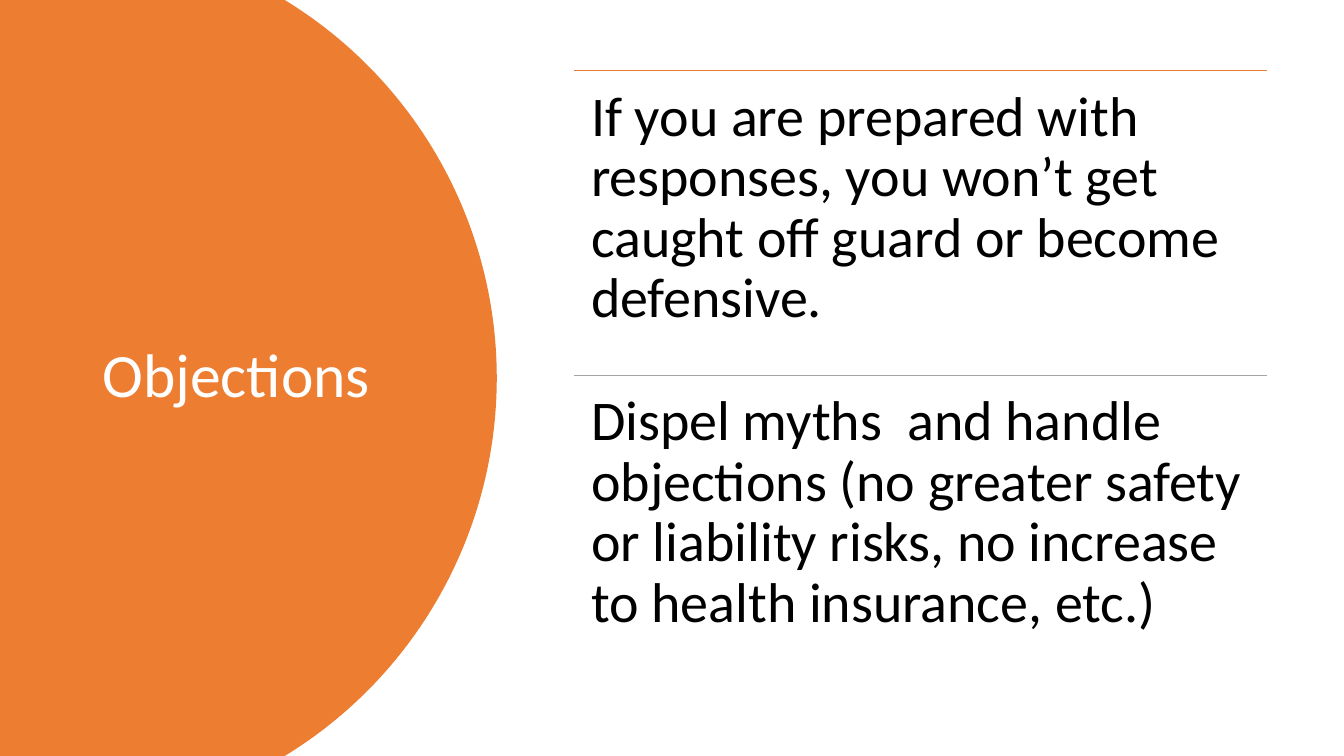
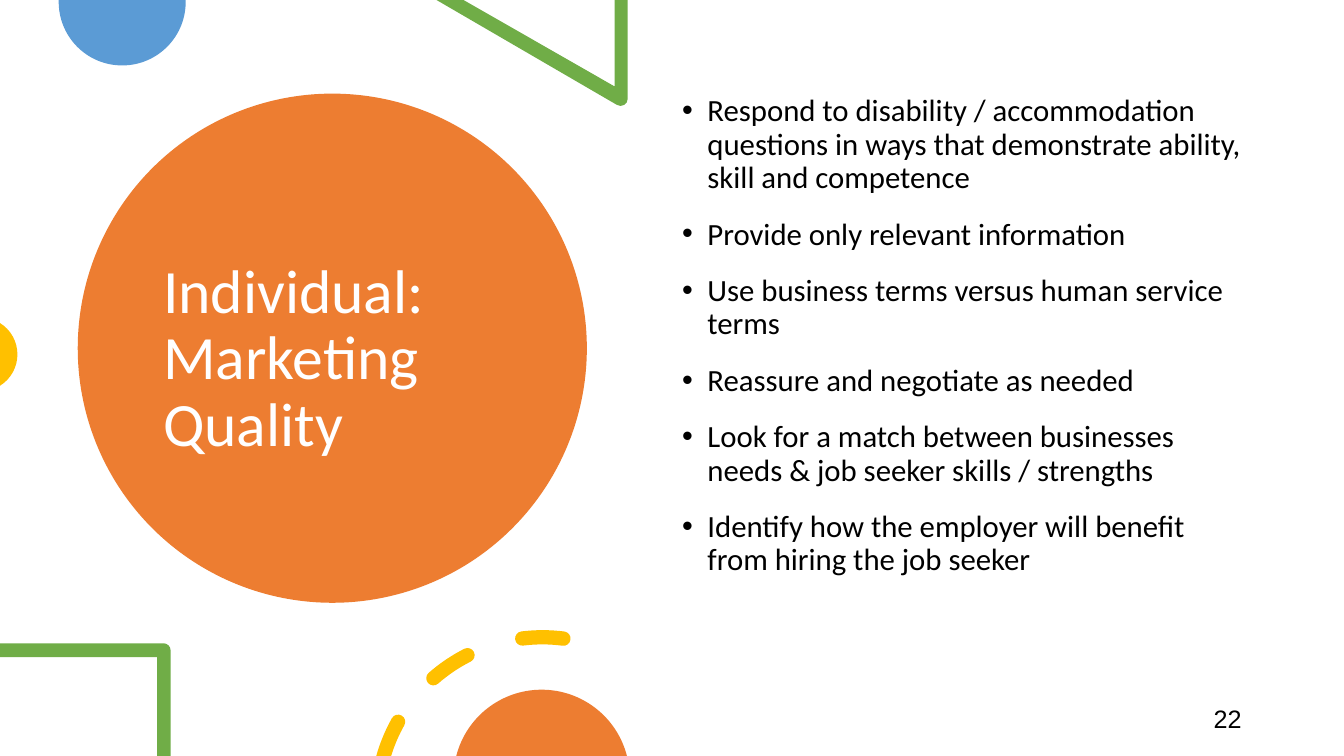
from dataclasses import dataclass
from math import ceil, cos, radians, sin, tan

from lxml.etree import SubElement
from pptx import Presentation
from pptx.dml.color import RGBColor
from pptx.enum.shapes import MSO_CONNECTOR as Connector, MSO_SHAPE as Shape
from pptx.enum.text import MSO_ANCHOR as Anchor, PP_ALIGN as Align
from pptx.oxml.ns import qn
from pptx.util import Cm, Pt


@dataclass(frozen=True)
class Theme:
    orange: str = "ED7D31"
    gray: str = "A5A5A5"
    blue: str = "5B9BD5"
    green: str = "70AD47"
    yellow: str = "FFC000"
    white: str = "FFFFFF"
    black: str = "000000"
    font: str = "Calibri"
    number_font: str = "Arial"
    title_size: int = 44
    statement_size: int = 40
    bullet_size: int = 22
    number_size: int = 18


theme = Theme()
WIDTH, HEIGHT = 33.87, 19.05
TITLE = dict(size=theme.title_size, color=theme.white, anchor=Anchor.MIDDLE)


def arc(x, y, radius, start, end):
    """Start point, then Bézier pieces of three points; degrees run clockwise."""
    count = max(1, ceil(abs(end - start) / 92))
    step = radians(end - start) / count
    reach = 4 / 3 * tan(step / 4)
    pieces = [[(x + radius * cos(radians(start)), y + radius * sin(radians(start)))]]
    for index in range(count):
        a = radians(start) + index * step
        b = a + step
        pieces.append([
            (x + radius * (cos(a) - reach * sin(a)), y + radius * (sin(a) + reach * cos(a))),
            (x + radius * (cos(b) + reach * sin(b)), y + radius * (sin(b) - reach * cos(b))),
            (x + radius * cos(b), y + radius * sin(b)),
        ])
    return pieces


def add_text(slide, text, box, size, color=theme.black, font=theme.font,
             anchor=Anchor.TOP, align=Align.LEFT, inset=None,
             bullet=False, before=0, after=0):
    """Add a text box; each line of the text becomes a paragraph."""
    frame = slide.shapes.add_textbox(*map(Cm, box)).text_frame
    frame.word_wrap = True
    frame.vertical_anchor = anchor
    if inset is not None:
        frame.margin_left = frame.margin_right = Cm(inset)
        frame.margin_top = frame.margin_bottom = Cm(inset)
    frame.text = text
    for index, paragraph in enumerate(frame.paragraphs):
        if bullet:
            properties = paragraph._p.get_or_add_pPr()
            properties.set("marL", str(Cm(0.64)))
            properties.set("indent", str(-Cm(0.64)))
            SubElement(properties, qn("a:buFont"), typeface="Arial")
            SubElement(properties, qn("a:buChar"), char="•")
        paragraph.alignment = align
        paragraph.line_spacing = 0.9
        paragraph.space_before = Pt(before if index else 0)
        paragraph.space_after = Pt(after)
        paragraph.font.name = font
        paragraph.font.size = Pt(size)
        paragraph.font.color.rgb = RGBColor.from_string(color)


presentation = Presentation()
presentation.slide_width, presentation.slide_height = Cm(WIDTH), Cm(HEIGHT)
blank = presentation.slide_layouts[6]
objections = presentation.slides.add_slide(blank)
marketing = presentation.slides.add_slide(blank)

# Disc behind the second title
disc = marketing.shapes.add_shape(Shape.OVAL, Cm(1.96), Cm(2.36), Cm(12.83), Cm(12.83))
disc.shadow.inherit = False
disc.fill.solid()
disc.fill.fore_color.rgb = RGBColor.from_string(theme.orange)
disc.line.fill.background()

# Dashes of the ring: start angle outside, start angle inside, end angle, round start
ring_x, ring_y, ring_radius, half = 13.67, 20.23, 4.17, 0.18
dashes = []
for outer_start, inner_start, end, round_start in [
    (195.74, 197.2, 209.3, False),
    (228.8, 228.8, 243.1, True),
    (263, 263, 277.3, True),
]:
    [head], *_ = arc(ring_x, ring_y, ring_radius, end, end)
    [tail], *_ = arc(ring_x, ring_y, ring_radius, outer_start, outer_start)
    dash = arc(ring_x, ring_y, ring_radius + half, outer_start, end)
    dash += arc(*head[0:2], half, end, end + 180)[1:]
    dash += arc(ring_x, ring_y, ring_radius - half, end, inner_start)[1:]
    if round_start:
        dash += arc(*tail, half, outer_start + 180, outer_start + 360)[1:]
    dashes.append(dash)

# Outlines cut off by the slide edges, as pieces: one point for a line, three for a curve
panel = [[(0, 0)], *arc(1.36, HEIGHT / 2, 11.16, -58.6, 58.6), [(0, HEIGHT)]]
triangle = [[(15.82, 0)], *arc(15.64, 2.49, 0.18, 0, 120),
            [(11, 0)], [(11.68, 0)], [(15.49, 2.18)], [(15.49, 0)]]
square = [[(0, 16.21)], *arc(4.12, 16.39, 0.18, 270, 360), [(4.3, HEIGHT)],
          [(3.96, HEIGHT)], [(3.96, 16.56)], [(0, 16.56)]]
for slide, color, contours in [
    (objections, theme.orange, [panel]),
    (marketing, theme.blue, [arc(3.08, 0.05, 1.6, -1.8, 181.8)]),
    (marketing, theme.green, [triangle]),
    (marketing, theme.yellow, [arc(-0.49, 8.93, 0.93, -58.2, 58.2)]),
    (marketing, theme.green, [square]),
    (marketing, theme.yellow, dashes),
    (marketing, theme.orange, [arc(13.65, 19.6, 2.22, 194.3, 345.7)]),
]:
    builder = None
    for contour in contours:
        start, *points = [(Cm(x), Cm(y)) for piece in contour for x, y in piece]
        if builder:
            builder.move_to(*start)
        else:
            builder = slide.shapes.build_freeform(*start)
        builder.add_line_segments(points)
    shape = builder.convert_to_shape()
    shape.shadow.inherit = False
    shape.fill.solid()
    shape.fill.fore_color.rgb = RGBColor.from_string(color)
    shape.line.fill.background()
    # Join the three points of each curve into one Bézier segment
    segments = iter(list(shape._element.iter(qn("a:lnTo"))))
    for contour in contours:
        for piece in contour[1:]:
            segment, *controls = [next(segments) for _ in piece]
            if controls:
                segment.tag = qn("a:cubicBezTo")
            for control in controls:
                segment.append(control[0])
                control.getparent().remove(control)

# Objections: title and ruled statements
add_text(objections, "Objections", (2.33, 1.78, 8.2, 15.47), **TITLE)
left, top, width, row_height = 14.47, 1.78, 17.47, 7.68
statements = [
    (theme.orange, "If you are prepared with responses, you won’t get caught off guard "
                   "or become defensive."),
    (theme.gray, "Dispel myths  and handle objections (no greater safety or liability "
                 "risks, no increase to health insurance, etc.)"),
]
for row, (color, statement) in enumerate(statements):
    y = top + row * row_height
    rule = objections.shapes.add_connector(
        Connector.STRAIGHT, Cm(left), Cm(y), Cm(left + width), Cm(y))
    rule.line.color.rgb = RGBColor.from_string(color)
    rule.line.width = Pt(1)
    SubElement(rule._element.spPr, qn("a:effectLst"))
    add_text(objections, statement, (left, y, width, row_height),
             size=theme.statement_size, inset=0.43)

# Marketing quality: title, bullets and slide number
add_text(marketing, "Individual: Marketing Quality", (3.86, 3.42, 8.99, 11.3), **TITLE)
bullets = [
    "Respond to disability / accommodation questions in ways that demonstrate ability, "
    "skill and competence",
    "Provide only relevant information",
    "Use business terms versus human service terms",
    "Reassure and negotiate as needed",
    "Look for a match between businesses needs & job seeker skills / strengths",
    "Identify how the employer will benefit from hiring the job seeker",
]
add_text(marketing, "\n".join(bullets), (16.94, 2.28, 14.6, 13.59),
         size=theme.bullet_size, bullet=True, before=10, after=6.6)
add_text(marketing, "22", (29.18, 17.65, 2.36, 1.02), size=theme.number_size,
         font=theme.number_font, anchor=Anchor.MIDDLE, align=Align.RIGHT, after=6)

presentation.save("out.pptx")
